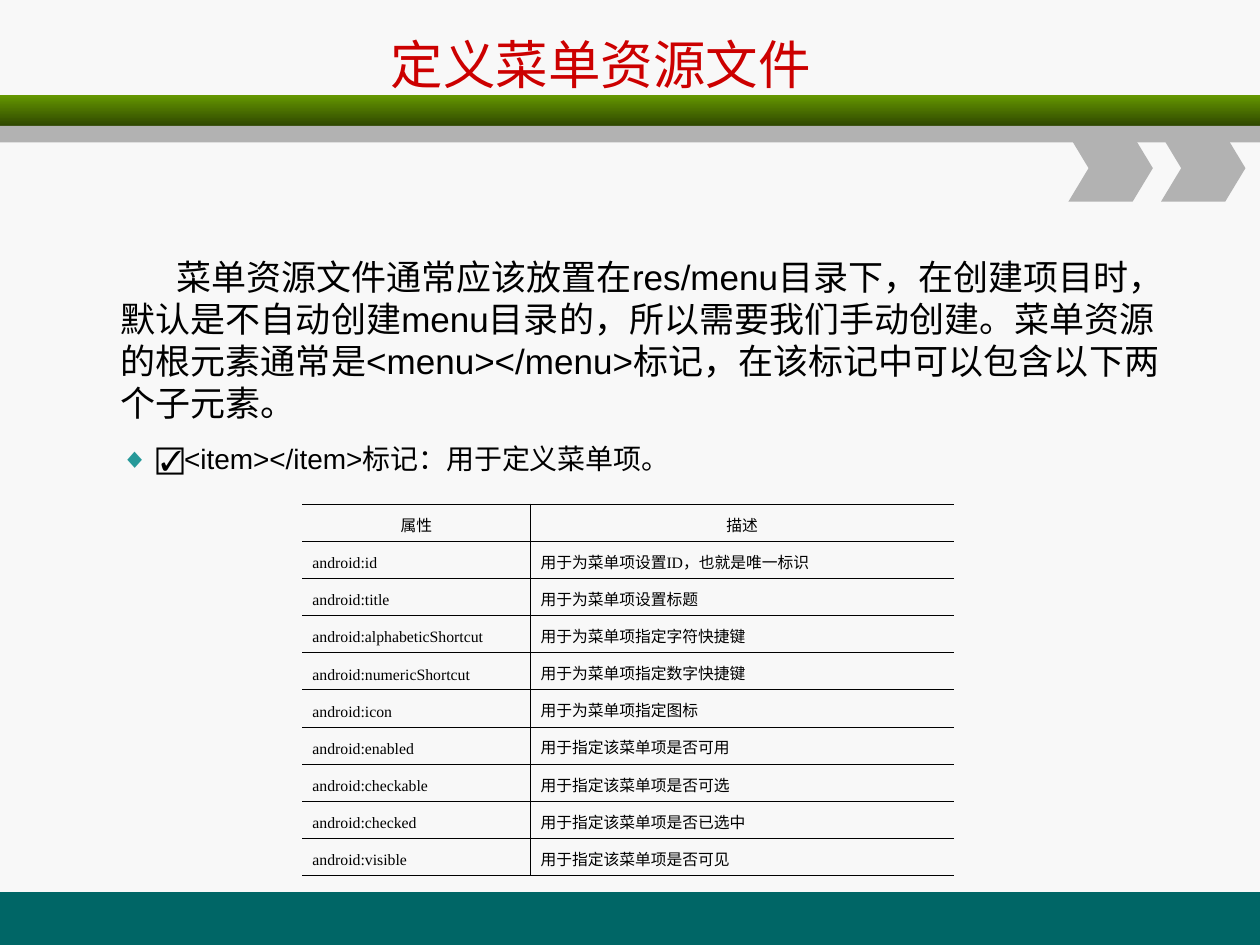
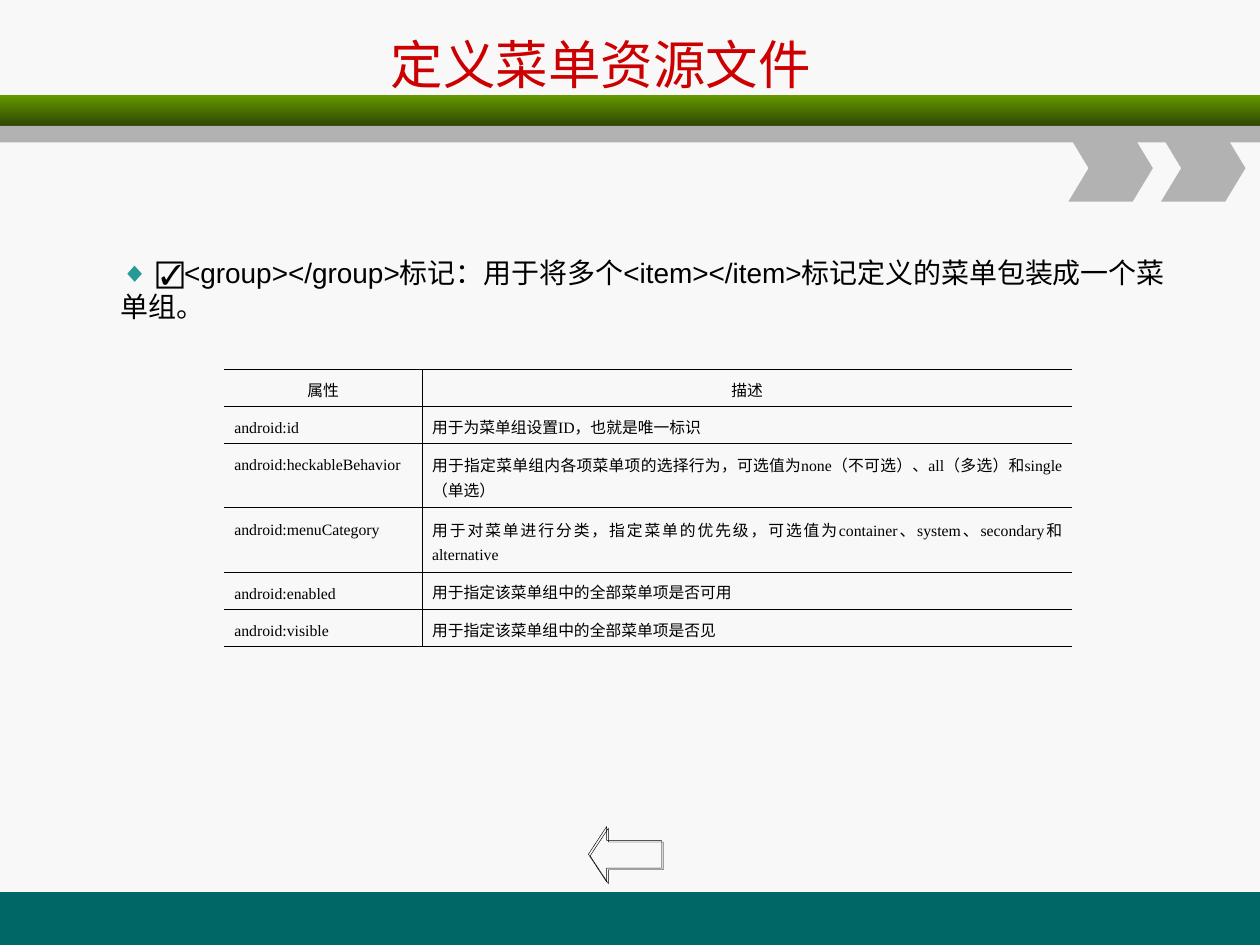
from dataclasses import dataclass

from lxml.etree import SubElement
from pptx import Presentation
from pptx.dml.color import RGBColor as RGB
from pptx.enum.shapes import MSO_SHAPE as Preset
from pptx.enum.text import MSO_ANCHOR as Anchor, PP_ALIGN as Align
from pptx.oxml.ns import qn
from pptx.util import Inches, Pt


@dataclass(frozen=True)
class Theme:
    page: RGB = RGB.from_string("F8F8F8")
    footer: RGB = RGB.from_string("006666")
    band_top: RGB = RGB.from_string("669900")
    band_bottom: RGB = RGB.from_string("2F4700")
    grey: RGB = RGB.from_string("B2B2B2")
    title: RGB = RGB.from_string("CC0000")
    diamond: RGB = RGB.from_string("269999")
    ink: RGB = RGB.from_string("000000")
    cjk_font: str = "DejaVu Sans"
    body_font: str = "Arial"
    code_font: str = "Times New Roman"
    title_size: int = 30
    intro_size: int = 20
    tag_size: int = 16
    cell_size: int = 9
    cell_leading: int = 14
    rule_width: float = 0.45


THEME = Theme()
TITLE = "定义菜单资源文件"
HEADINGS = ("属性", "描述")

INTRO = (
    "菜单资源文件通常应该放置在res/menu目录下，在创建项目时，默认是不自动创建menu目录的，"
    "所以需要我们手动创建。菜单资源的根元素通常是<menu></menu>标记，"
    "在该标记中可以包含以下两个子元素。"
)
ITEM_TAG = "☑<item></item>标记：用于定义菜单项。"
GROUP_TAG = "☑<group></group>标记：用于将多个<item></item>标记定义的菜单包装成一个菜单组。"

ITEM_ATTRIBUTES = [
    ("android:id", "用于为菜单项设置ID，也就是唯一标识"),
    ("android:title", "用于为菜单项设置标题"),
    ("android:alphabeticShortcut", "用于为菜单项指定字符快捷键"),
    ("android:numericShortcut", "用于为菜单项指定数字快捷键"),
    ("android:icon", "用于为菜单项指定图标"),
    ("android:enabled", "用于指定该菜单项是否可用"),
    ("android:checkable", "用于指定该菜单项是否可选"),
    ("android:checked", "用于指定该菜单项是否已选中"),
    ("android:visible", "用于指定该菜单项是否可见"),
]
GROUP_ATTRIBUTES = [
    ("android:id", "用于为菜单组设置ID，也就是唯一标识"),
    ("android:heckableBehavior",
     "用于指定菜单组内各项菜单项的选择行为，可选值为none（不可选）、all（多选）和single（单选）"),
    ("android:menuCategory",
     "用于对菜单进行分类，指定菜单的优先级，可选值为container、system、secondary和alternative"),
    ("android:enabled", "用于指定该菜单组中的全部菜单项是否可用"),
    ("android:visible", "用于指定该菜单组中的全部菜单项是否见"),
]


def write(paragraph, text, size, color=THEME.ink, font=THEME.body_font,
          align=None, leading=None, before=None, indent=None):
    """Add one run to a paragraph and format both."""
    run = paragraph.add_run()
    run.text = text
    run.font.size = Pt(size)
    run.font.name = font
    run.font.color.rgb = color
    SubElement(run.font._element, qn("a:ea"), typeface=THEME.cjk_font)
    if align is not None:
        paragraph.alignment = align
    if leading is not None:
        paragraph.line_spacing = Pt(leading)
    if before is not None:
        paragraph.space_before = Pt(before)
    if indent is not None:
        paragraph._p.get_or_add_pPr().set("indent", str(Inches(indent)))


def text_frame(slide, box, anchor=Anchor.TOP):
    frame = slide.shapes.add_textbox(*map(Inches, box)).text_frame
    frame.word_wrap = True
    frame.vertical_anchor = anchor
    return frame


def band(slide, box, color):
    strip = slide.shapes.add_shape(Preset.RECTANGLE, *map(Inches, box))
    strip.shadow.inherit = False
    strip.line.fill.background()
    strip.fill.solid()
    strip.fill.fore_color.rgb = color
    return strip


def chevron(slide, box, notch=0.16):
    left, top, width, height = box
    right, middle, bottom = left + width, top + height / 2, top + height
    outline = [(right - notch, top), (right, middle), (right - notch, bottom),
               (left, bottom), (left + notch, middle)]
    pen = slide.shapes.build_freeform(Inches(left), Inches(top))
    pen.add_line_segments([(Inches(x), Inches(y)) for x, y in outline], close=True)
    arrow = pen.convert_to_shape()
    arrow.shadow.inherit = False
    arrow.line.fill.background()
    arrow.fill.solid()
    arrow.fill.fore_color.rgb = THEME.grey


def menu_slide(deck):
    """Start a slide with the shared background, bands, chevrons and title."""
    slide = deck.slides.add_slide(deck.slide_layouts[6])
    page = slide.background.fill
    page.solid()
    page.fore_color.rgb = THEME.page

    band(slide, (0, 7.08, 10, 0.42), THEME.footer)
    green = band(slide, (0, 0.75, 10, 0.25), THEME.band_top).fill
    green.gradient()
    green.gradient_angle = 270
    for stop, position, color in zip(green.gradient_stops, (0, 1),
                                     (THEME.band_top, THEME.band_bottom)):
        stop.position = position
        stop.color.rgb = color
    band(slide, (0, 1, 10, 0.13), THEME.grey)
    for step in range(2):
        chevron(slide, (8.48 + 0.735 * step, 1.07, 0.67, 0.53))

    title = text_frame(slide, (2.27, 0.17, 5, 0.67), Anchor.MIDDLE)
    write(title.paragraphs[0], TITLE, THEME.title_size, THEME.title,
          font=THEME.cjk_font, align=Align.CENTER)
    return slide


def tag_line(paragraph, text, before=None):
    write(paragraph, "◆ ", THEME.tag_size, THEME.diamond, before=before)
    write(paragraph, text, THEME.tag_size)


def rule_cell(cell, is_first, is_last):
    """Rule a cell above, below and between columns; leave outer sides open."""
    properties = cell._tc.get_or_add_tcPr()
    for side, shown in (("L", not is_first), ("R", not is_last), ("T", True), ("B", True)):
        border = SubElement(properties, qn(f"a:ln{side}"), w=str(Pt(THEME.rule_width)))
        if shown:
            fill = SubElement(border, qn("a:solidFill"))
            SubElement(fill, qn("a:srgbClr"), val=str(THEME.ink))
        else:
            SubElement(border, qn("a:noFill"))
    cell.fill.background()


def attribute_table(slide, left, top, widths, attributes, heights):
    rows = [HEADINGS, *attributes]
    box = (left, top, sum(widths), sum(heights))
    table = slide.shapes.add_table(len(rows), len(widths), *map(Inches, box)).table
    table.first_row = table.horz_banding = False
    for column, width in zip(table.columns, widths):
        column.width = Inches(width)
    for r, (texts, height) in enumerate(zip(rows, heights)):
        table.rows[r].height = Inches(height)
        for c, text in enumerate(texts):
            cell = table.cell(r, c)
            cell.margin_left = cell.margin_right = Inches(0.08)
            cell.margin_top = cell.margin_bottom = Inches(0.05)
            is_name = r > 0 and c == 0
            cell.vertical_anchor = Anchor.TOP if is_name else Anchor.MIDDLE
            align = Align.CENTER if r == 0 else (Align.LEFT, Align.JUSTIFY)[c]
            write(cell.text_frame.paragraphs[0], text, THEME.cell_size,
                  font=THEME.code_font if r else THEME.body_font,
                  align=align, leading=THEME.cell_leading)
            rule_cell(cell, c == 0, c == len(widths) - 1)


def back_arrow(slide, box):
    arrow = slide.shapes.add_shape(Preset.LEFT_ARROW, *map(Inches, box))
    arrow.adjustments[0], arrow.adjustments[1] = 0.5, 0.33
    arrow.fill.background()
    arrow.line.color.rgb = THEME.ink
    arrow.line.width = Pt(0.25)
    arrow.shadow.inherit = False
    effects = arrow._element.spPr.find(qn("a:effectLst"))
    shadow = SubElement(effects, qn("a:outerShdw"), dist=str(Pt(1.4)),
                        dir=str(45 * 60000), algn="ctr", rotWithShape="0")
    SubElement(shadow, qn("a:srgbClr"), val=str(THEME.ink))


def item_slide(deck):
    slide = menu_slide(deck)
    body = text_frame(slide, (0.86, 1.98, 8.67, 1.84))
    write(body.paragraphs[0], INTRO, THEME.intro_size, indent=0.44)
    tag_line(body.add_paragraph(), ITEM_TAG, before=10)
    attribute_table(slide, 2.4, 4, (1.81, 3.36), ITEM_ATTRIBUTES, [0.29] * 10)


def group_slide(deck):
    slide = menu_slide(deck)
    body = text_frame(slide, (0.86, 1.98, 8.67, 0.64))
    tag_line(body.paragraphs[0], GROUP_TAG)
    back_arrow(slide, (4.67, 6.56, 0.58, 0.44))
    attribute_table(slide, 1.78, 2.93, (1.57, 5.16), GROUP_ATTRIBUTES,
                    [0.29, 0.29, 0.51, 0.51, 0.29, 0.29])


def main():
    deck = Presentation()
    deck.slide_width, deck.slide_height = Inches(10), Inches(7.5)
    item_slide(deck)
    group_slide(deck)
    deck.save("out.pptx")


if __name__ == "__main__":
    main()
